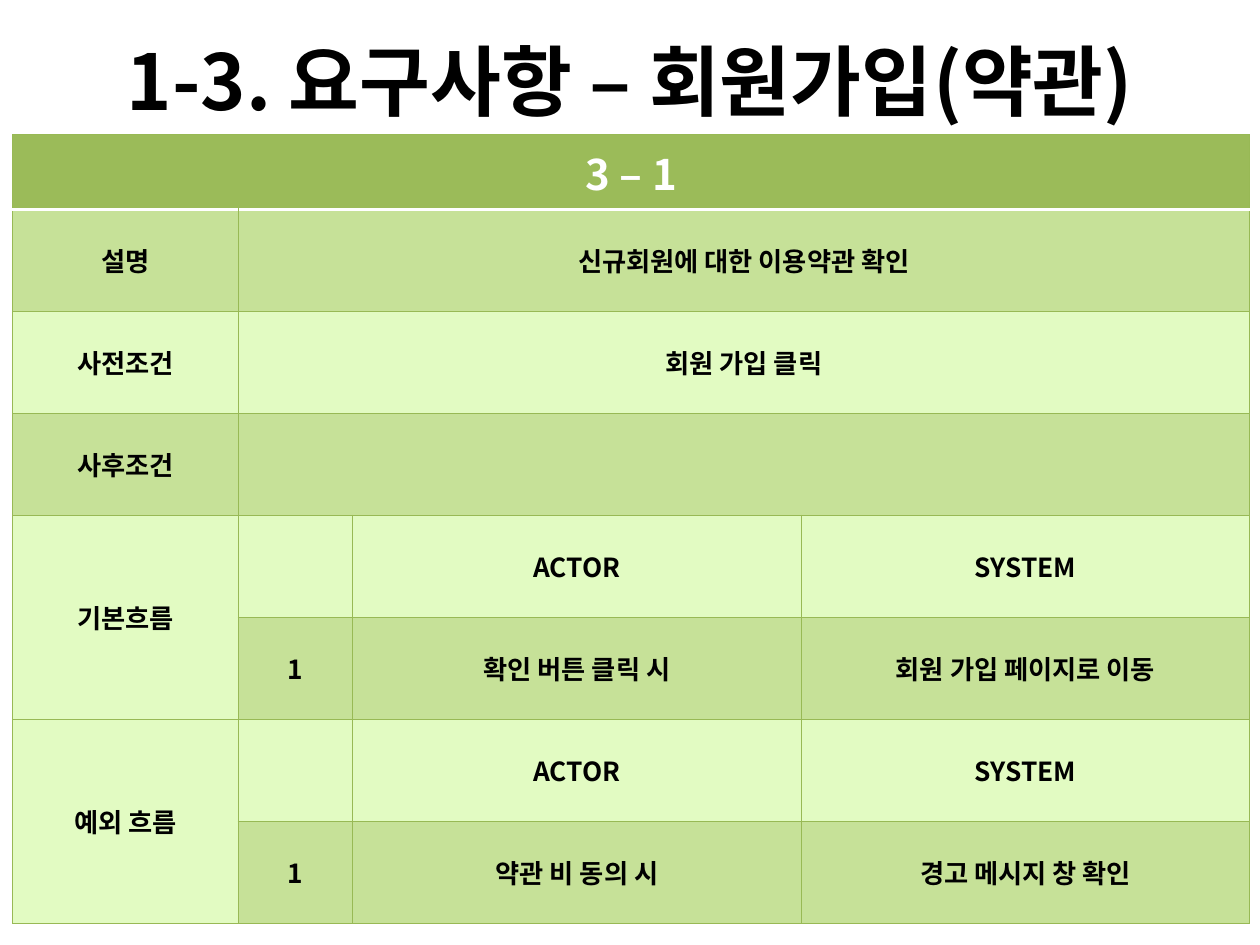
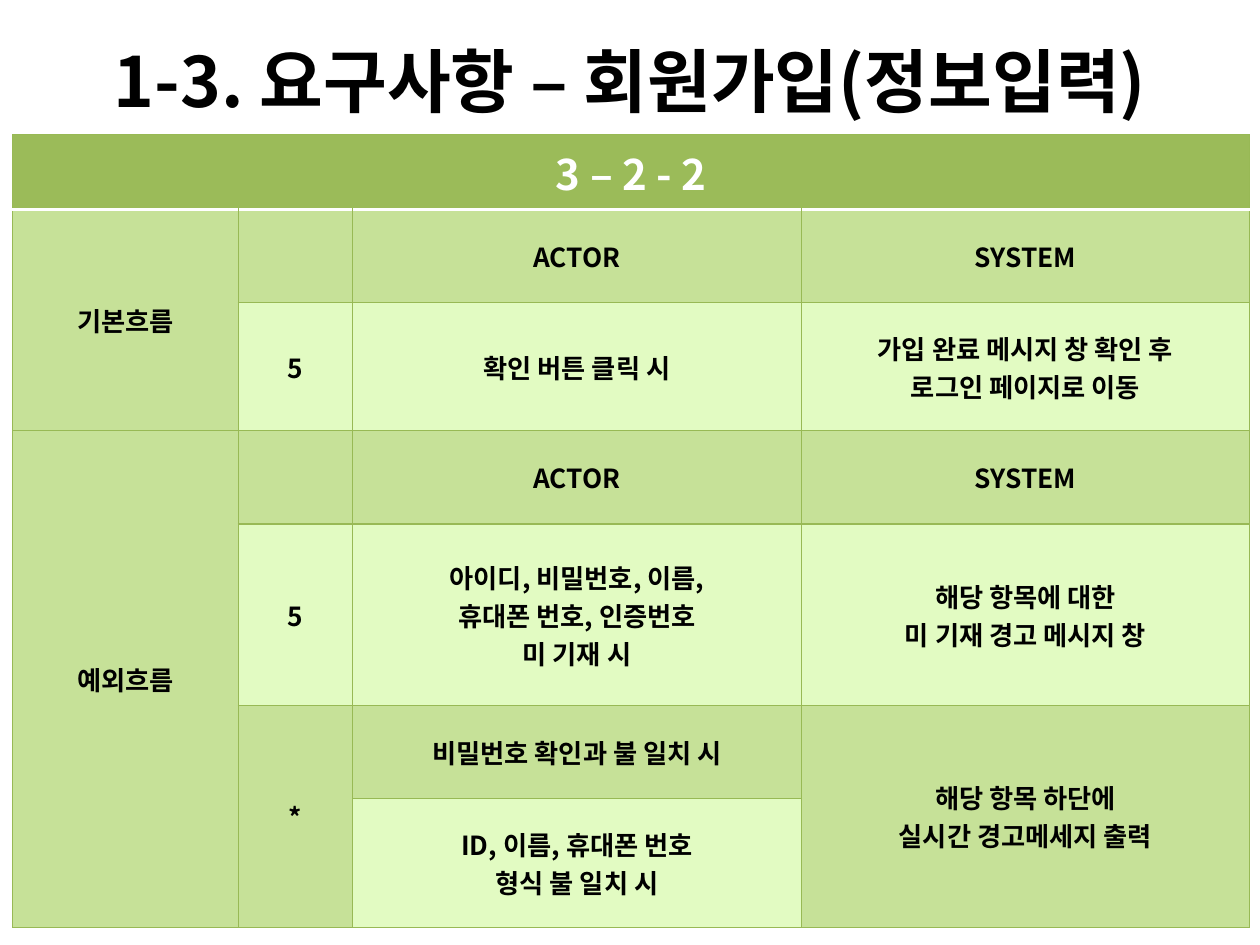
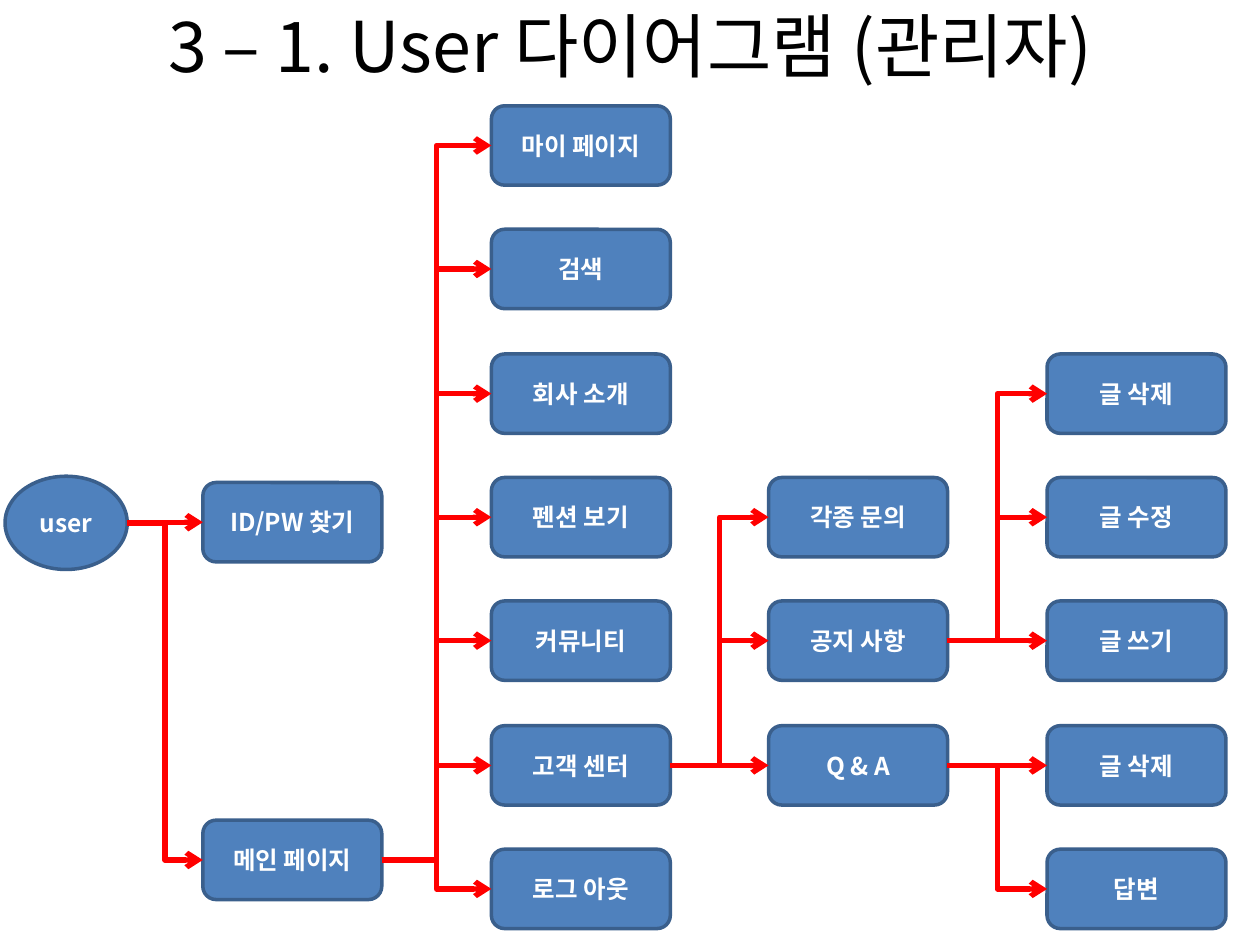
from dataclasses import dataclass

import pptx
import pptx.dml.color
import pptx.enum.shapes
import pptx.enum.text
import pptx.oxml
import pptx.oxml.ns
import pptx.util

EMU_PER_PX = 9144  # 100 px to the inch
TITLE_ONLY = 5
LEFT, UP = "<merge left>", "<merge up>"
RIGHT_SIDE, LEFT_SIDE, ELLIPSE_RIGHT_SITE = 3, 1, 6
SHAPES = pptx.enum.shapes.MSO_SHAPE
CONNECTORS = pptx.enum.shapes.MSO_CONNECTOR
MIDDLE = pptx.enum.text.MSO_ANCHOR.MIDDLE
CENTER = pptx.enum.text.PP_ALIGN.CENTER
qn = pptx.oxml.ns.qn


@dataclass(frozen=True)
class Theme:
    font: str = "Noto Sans CJK KR"
    black: str = "000000"
    white: str = "FFFFFF"
    header: str = "9BBB59"
    dark_band: str = "C6E198"
    light_band: str = "E2FBC2"
    grid: str = "98B955"
    box: str = "4F81BD"
    box_edge: str = "3A5F8C"
    arrow: str = "FF0000"
    header_size: float = 24
    cell_size: float = 15
    box_size: float = 14
    grid_width: float = 0.75
    header_rule_width: float = 2
    box_edge_width: float = 2
    arrow_width: float = 3


def px(length):
    return pptx.util.Emu(length * EMU_PER_PX)


def rgb(colour):
    return pptx.dml.color.RGBColor.from_string(colour)


class Deck:
    def __init__(self, theme):
        self.theme = theme
        self.presentation = pptx.Presentation()
        self.presentation.slide_width = px(1000)
        self.presentation.slide_height = px(750)
        self.slide = None

    def set_text(self, frame, text, size, colour, bold=True):
        frame.text = text
        for paragraph in frame.paragraphs:
            paragraph.alignment = CENTER
            font = paragraph.font
            font.name, font.size, font.bold = self.theme.font, pptx.util.Pt(size), bold
            font.color.rgb = rgb(colour)
            # Hangul takes the East Asian face
            defaults = paragraph._p.pPr.find(qn("a:defRPr"))
            east_asian = pptx.oxml.parse_xml(
                f'<a:ea {pptx.oxml.ns.nsdecls("a")} typeface="{self.theme.font}"/>')
            defaults.find(qn("a:latin")).addnext(east_asian)

    def add_slide(self, title, size, top=1, bold=True):
        layout = self.presentation.slide_layouts[TITLE_ONLY]
        self.slide = self.presentation.slides.add_slide(layout)
        heading = self.slide.shapes.title
        heading.left, heading.top, heading.width, heading.height = map(px, (50, top, 900, 125))
        heading.text_frame.auto_size = pptx.enum.text.MSO_AUTO_SIZE.NONE
        heading.text_frame.vertical_anchor = MIDDLE
        self.set_text(heading.text_frame, title, size, self.theme.black, bold)

    def border(self, cell, side, colour, width):
        cell._tc.get_or_add_tcPr().append(pptx.oxml.parse_xml(
            f'<a:ln{side} {pptx.oxml.ns.nsdecls("a")} w="{pptx.util.Pt(width)}">'
            f'<a:solidFill><a:srgbClr val="{colour}"/></a:solidFill></a:ln{side}>'))

    def style_cell(self, cell, row):
        theme = self.theme
        grid = (theme.grid, theme.grid_width)
        header_rule = (theme.white, theme.header_rule_width)
        self.border(cell, "L", *grid)
        self.border(cell, "R", *grid)
        self.border(cell, "T", *(header_rule if row == 1 else grid))
        self.border(cell, "B", *(header_rule if row == 0 else grid))
        band = theme.dark_band if row % 2 else theme.light_band
        cell.fill.solid()
        cell.fill.fore_color.rgb = rgb(band if row else theme.header)
        cell.vertical_anchor = MIDDLE

    def add_requirements(self, row_heights, rows):
        theme = self.theme
        column_widths = (179, 91, 356, 356)
        table = self.slide.shapes.add_table(
            len(rows), len(column_widths), px(10), px(107),
            px(sum(column_widths)), px(sum(row_heights))).table
        table.first_row = table.horz_banding = False
        for column, width in zip(table.columns, column_widths):
            column.width = px(width)
        for table_row, height in zip(table.rows, row_heights):
            table_row.height = px(height)

        for r, row in enumerate(rows):
            for c, text in enumerate(row):
                cell = table.cell(r, c)
                self.style_cell(cell, r)
                if text in (LEFT, UP):
                    continue
                last_row, last_column = r, c
                while last_column + 1 < len(row) and row[last_column + 1] == LEFT:
                    last_column += 1
                while last_row + 1 < len(rows) and rows[last_row + 1][c] == UP:
                    last_row += 1
                if (last_row, last_column) != (r, c):
                    cell.merge(table.cell(last_row, last_column))
                if text:
                    size, colour = ((theme.cell_size, theme.black) if r
                                    else (theme.header_size, theme.white))
                    self.set_text(cell.text_frame, text, size, colour)

    def add_node(self, text, left, top, width=142, height=63, outline=SHAPES.ROUNDED_RECTANGLE):
        theme = self.theme
        node = self.slide.shapes.add_shape(outline, *map(px, (left, top, width, height)))
        node.shadow.inherit = False
        node.fill.solid()
        node.fill.fore_color.rgb = rgb(theme.box)
        node.line.color.rgb = rgb(theme.box_edge)
        node.line.width = pptx.util.Pt(theme.box_edge_width)
        node.text_frame.vertical_anchor = MIDDLE
        self.set_text(node.text_frame, text, theme.box_size, theme.white)
        return node

    def add_arrow(self, parent, child):
        level = parent.top + parent.height // 2 == child.top + child.height // 2
        kind = CONNECTORS.STRAIGHT if level else CONNECTORS.ELBOW
        arrow = self.slide.shapes.add_connector(kind, 0, 0, 0, 0)
        arrow.begin_connect(parent, RIGHT_SIDE)
        arrow.end_connect(child, LEFT_SIDE)
        if parent.auto_shape_type == SHAPES.OVAL:
            # an ellipse has eight sites, so its right one has another number
            arrow._element.find(".//" + qn("a:stCxn")).set("idx", str(ELLIPSE_RIGHT_SITE))
        arrow.line.color.rgb = rgb(self.theme.arrow)
        arrow.line.width = pptx.util.Pt(self.theme.arrow_width)
        namespace = pptx.oxml.ns.nsdecls("a")
        properties = arrow._element.spPr
        properties.find(qn("a:ln")).append(
            pptx.oxml.parse_xml(f'<a:tailEnd {namespace} type="arrow"/>'))
        properties.append(pptx.oxml.parse_xml(f"<a:effectLst {namespace}/>"))

    def add_arrows(self, parent, children):
        for child in children:
            self.add_arrow(parent, child)


def add_terms_slide(deck):
    deck.add_slide("1-3. 요구사항 – 회원가입(약관)", 44)
    deck.add_requirements([59] + [81] * 7, [
        ["3 – 1", LEFT, LEFT, LEFT],
        ["설명", "신규회원에 대한 이용약관 확인", LEFT, LEFT],
        ["사전조건", "회원 가입 클릭", LEFT, LEFT],
        ["사후조건", "", LEFT, LEFT],
        ["기본흐름", "", "ACTOR", "SYSTEM"],
        [UP, "1", "확인 버튼 클릭 시", "회원 가입 페이지로 이동"],
        ["예외 흐름", "", "ACTOR", "SYSTEM"],
        [UP, "1", "약관 비 동의 시", "경고 메시지 창 확인"],
    ])


def add_sign_up_slide(deck):
    deck.add_slide("1-3. 요구사항 – 회원가입(정보입력)", 39.6)
    deck.add_requirements([59, 74, 102, 74, 144, 74, 102], [
        ["3 – 2 - 2", LEFT, LEFT, LEFT],
        ["기본흐름", "", "ACTOR", "SYSTEM"],
        [UP, "5", "확인 버튼 클릭 시", "가입 완료 메시지 창 확인 후\n로그인 페이지로 이동"],
        ["예외흐름", "", "ACTOR", "SYSTEM"],
        [UP, "5", "아이디, 비밀번호, 이름,\n휴대폰 번호, 인증번호\n미 기재 시",
         "해당 항목에 대한\n미 기재 경고 메시지 창"],
        [UP, "*", "비밀번호 확인과 불 일치 시", "해당 항목 하단에\n실시간 경고메세지 출력"],
        [UP, UP, "ID, 이름, 휴대폰 번호\n형식 불 일치 시", UP],
    ])


def add_user_diagram_slide(deck):
    deck.add_slide("3 – 1. User 다이어그램 (관리자)", 40, top=-27, bold=False)

    def stack(left, first_row, labels):
        # three rows take 295 px
        return [deck.add_node(label, left, round(84 + row * 295 / 3))
                for row, label in enumerate(labels, first_row)]

    # Nodes, column by column
    user = deck.add_node("user", 4, 378, 97, 74, SHAPES.OVAL)
    find_account = deck.add_node("ID/PW 찾기", 161, 383)
    main_page = deck.add_node("메인 페이지", 161, 651)
    menu = stack(390, 0, ["마이 페이지", "검색", "회사 소개", "펜션 보기",
                          "커뮤니티", "고객 센터", "로그 아웃"])
    support = stack(610, 3, ["각종 문의", "공지 사항", "Q & A"])
    actions = stack(831, 2, ["글 삭제", "글 수정", "글 쓰기", "글 삭제", "답변"])

    # Arrows from each node to its children
    customer_center = menu[5]
    _, notices, questions = support
    deck.add_arrows(user, [find_account, main_page])
    deck.add_arrows(main_page, menu)
    deck.add_arrows(customer_center, support)
    deck.add_arrows(notices, actions[:3])
    deck.add_arrows(questions, actions[3:])


def main():
    deck = Deck(Theme())
    add_terms_slide(deck)
    add_sign_up_slide(deck)
    add_user_diagram_slide(deck)
    deck.presentation.save("out.pptx")


if __name__ == "__main__":
    main()
